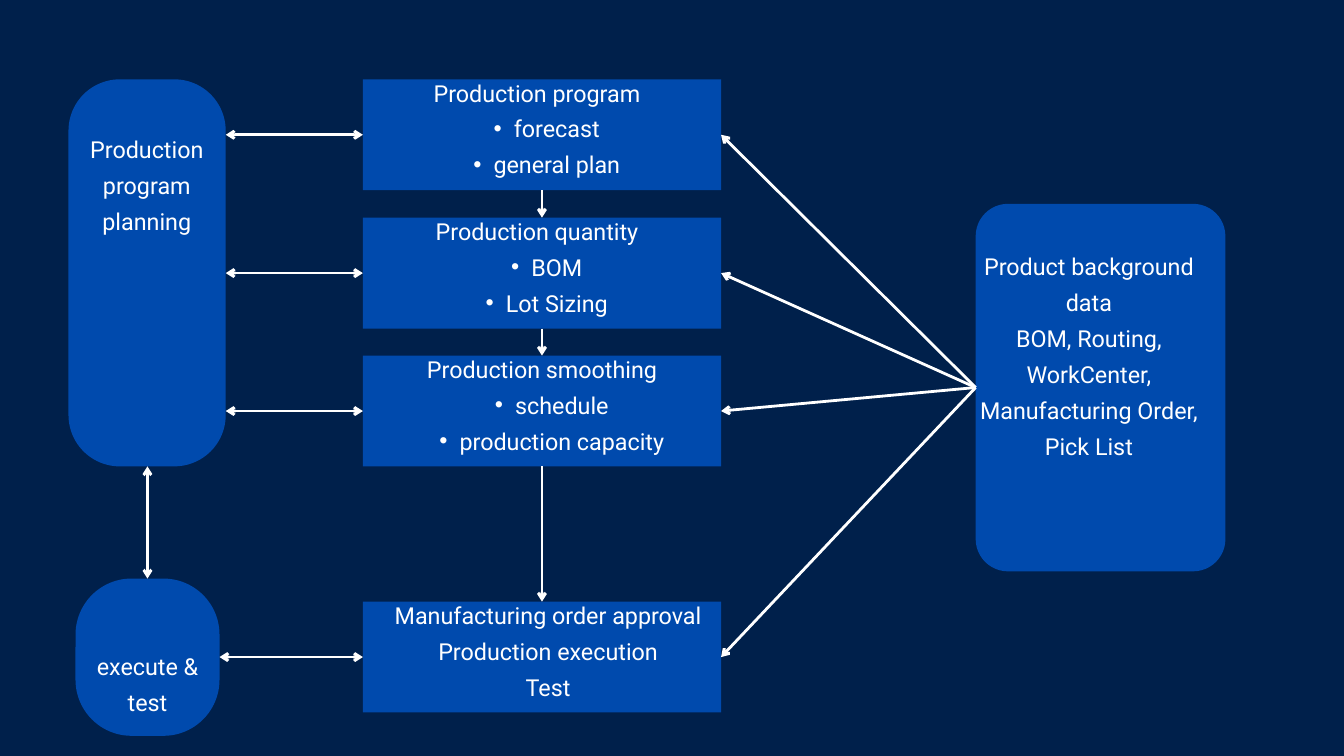
"""Build the production planning flow slide."""
from itertools import pairwise

from lxml.etree import SubElement
from pptx import Presentation
from pptx.dml.color import RGBColor
from pptx.enum.shapes import MSO_CONNECTOR, MSO_SHAPE
from pptx.enum.text import MSO_ANCHOR, PP_ALIGN
from pptx.oxml.ns import qn
from pptx.util import Pt

BACKGROUND, PANEL, WHITE = "00204B", "004AAD", "FFFFFF"
TEXT_RISE = 25.6
STAGE_LEFT, STAGE_WIDTH, STAGE_HEIGHT = 388.8, 383.8, 118.8
STAGES = [
    (85, 373, ["Production program", "• forecast", "• general plan"]),
    (233.2, 373, ["Production quantity", "• BOM", "• Lot Sizing"]),
    (381, 383.8, ["Production smoothing", "• schedule", "• production capacity"]),
    (644.6, 396.7, ["Manufacturing order approval", "Production execution", "Test"]),
]


def set_fill(fill, color):
    """Apply a solid hex colour to a fill."""
    fill.solid()
    fill.fore_color.rgb = RGBColor.from_string(color)


def add_bullet(paragraph):
    """Give a paragraph a hanging bullet."""
    paragraph.level = 1
    properties = paragraph._p.get_or_add_pPr()
    properties.set("marL", str(Pt(42.5)))
    properties.set("indent", str(Pt(-21.6)))
    SubElement(properties, qn("a:buFont"), typeface="Arial")
    SubElement(properties, qn("a:buChar"), char="•")


def add_label(slide, left, top, width, height, lines):
    """Add a centred text box; lines that start with a bullet become list items."""
    box = slide.shapes.add_textbox(Pt(left), Pt(top), Pt(width), Pt(height))
    text_frame = box.text_frame
    text_frame.word_wrap = True
    text_frame.vertical_anchor = MSO_ANCHOR.MIDDLE
    text_frame.margin_left = text_frame.margin_right = Pt(4)
    text_frame.margin_top = text_frame.margin_bottom = Pt(4)
    text_frame.text = "\n".join(line.removeprefix("• ") for line in lines)
    for paragraph, line in zip(text_frame.paragraphs, lines):
        paragraph.alignment = PP_ALIGN.CENTER
        paragraph.line_spacing = Pt(38.5)
        if line.startswith("• "):
            add_bullet(paragraph)
        font = paragraph.runs[0].font
        font.name, font.size = "Roboto", Pt(25)
        font.color.rgb = RGBColor.from_string(WHITE)


def add_panel(slide, left, top, width, height, text_size, lines, radius=0):
    """Add a blue panel, rounded if it has a radius, with its label."""
    kind = MSO_SHAPE.ROUNDED_RECTANGLE if radius else MSO_SHAPE.RECTANGLE
    shape = slide.shapes.add_shape(kind, Pt(left), Pt(top), Pt(width), Pt(height))
    if radius:
        shape.adjustments[0] = radius / min(width, height)
    shape.shadow.inherit = False
    set_fill(shape.fill, PANEL)
    shape.line.fill.background()
    add_label(slide, left, top - TEXT_RISE, *text_size, lines)


def add_arrow(slide, start, end, both_ways=False):
    """Add a white arrow from start to end, optionally with two heads."""
    connector = slide.shapes.add_connector(
        MSO_CONNECTOR.STRAIGHT, *(Pt(value) for value in (*start, *end)))
    connector.line.width = Pt(3)
    set_fill(connector.line.fill, WHITE)
    line = connector.line._ln
    if both_ways:
        SubElement(line, qn("a:headEnd"), type="arrow")
    SubElement(line, qn("a:tailEnd"), type="arrow")
    SubElement(connector._element.spPr, qn("a:effectLst"))


def add_stages(slide):
    """Add the four stages and the arrows that lead down through them."""
    for top, text_width, lines in STAGES:
        add_panel(slide, STAGE_LEFT, top, STAGE_WIDTH, STAGE_HEIGHT,
                  (text_width, 148.3), lines)
    middle = STAGE_LEFT + STAGE_WIDTH / 2
    for (upper, *_), (lower, *_) in pairwise(STAGES):
        add_arrow(slide, (middle, upper + STAGE_HEIGHT), (middle, lower))


def add_links(slide):
    """Link the stages to the side panels."""
    side_edges = [241.9, 241.9, 241.9, 235.2]
    for (top, *_), side_edge in zip(STAGES, side_edges):
        center = top + STAGE_HEIGHT / 2
        add_arrow(slide, (side_edge, center), (STAGE_LEFT, center), both_ways=True)
        add_arrow(slide, (1045.4, 415.2), (STAGE_LEFT + STAGE_WIDTH, center))
    add_arrow(slide, (158, 499.7), (158, 619.9), both_ways=True)


def main():
    """Build and save the presentation."""
    presentation = Presentation()
    presentation.slide_width, presentation.slide_height = Pt(1440), Pt(810)
    slide = presentation.slides.add_slide(presentation.slide_layouts[6])
    set_fill(slide.background.fill, BACKGROUND)
    add_panel(slide, 73.4, 85, 168.5, 414.7, (167.8, 268.6),
              ["Production program planning"], radius=55)
    add_panel(slide, 80.9, 619.9, 154.3, 168.5, (154.3, 268.6),
              ["execute & test"], radius=60)
    add_panel(slide, 1045.4, 218.4, 267.6, 393.8, (242.6, 368.6),
              ["Product background data",
               "BOM, Routing, WorkCenter, Manufacturing Order, Pick List"], radius=34.6)
    add_stages(slide)
    add_links(slide)
    presentation.save("out.pptx")


if __name__ == "__main__":
    main()
